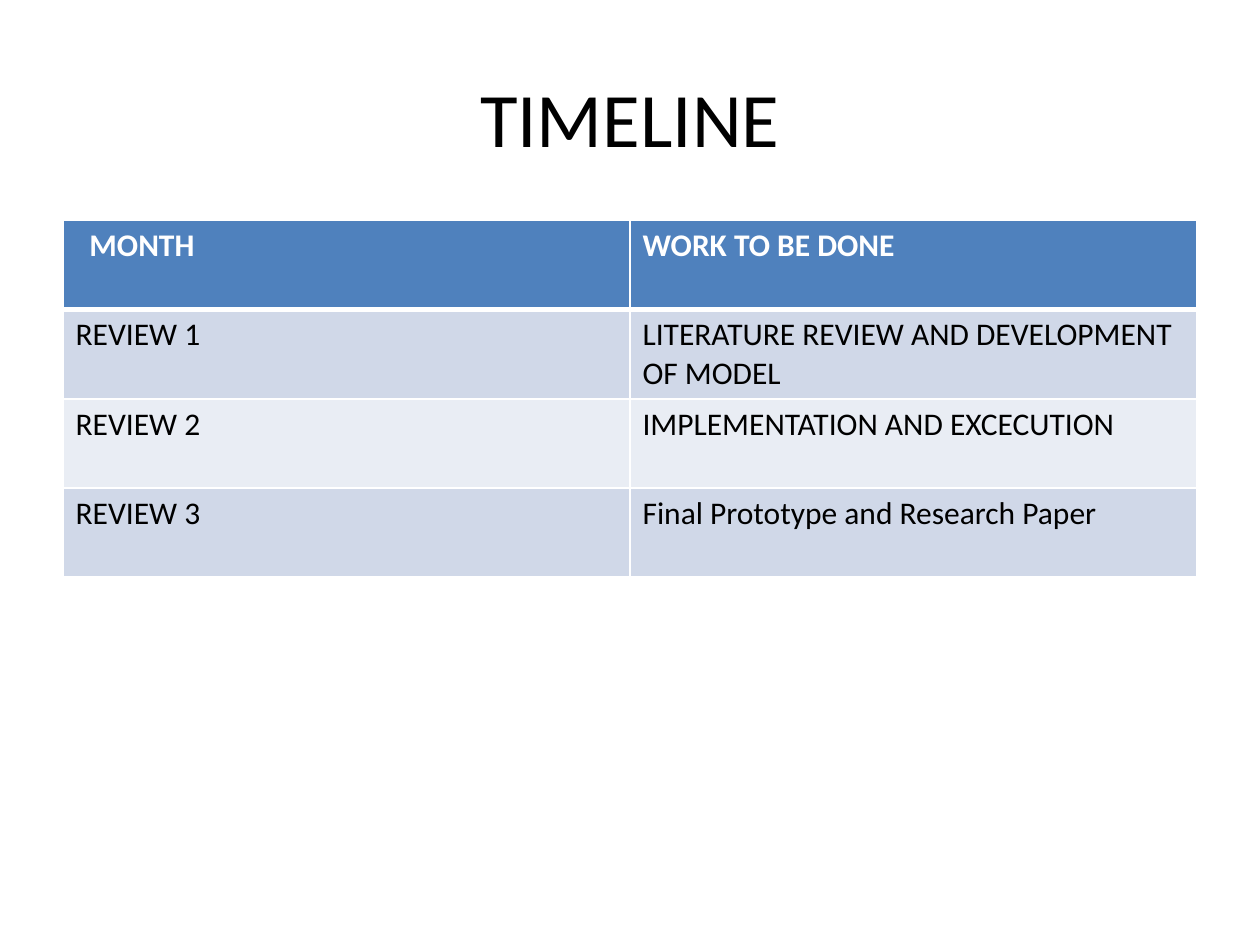
from lxml import etree
from pptx import Presentation
from pptx.dml.color import RGBColor
from pptx.enum import text
from pptx.oxml import ns
from pptx.util import Inches, Pt

BLACK = RGBColor(0x00, 0x00, 0x00)
WHITE = RGBColor(0xFF, 0xFF, 0xFF)
HEADER_BLUE = RGBColor(0x4F, 0x81, 0xBD)
BAND_DARK = RGBColor(0xD0, 0xD8, 0xE8)
BAND_LIGHT = RGBColor(0xE9, 0xED, 0xF4)


def write(frame, words, size=18, color=BLACK, bold=False, align=text.PP_ALIGN.LEFT):
    para = frame.paragraphs[0]
    para.alignment = align
    span = para.add_run()
    span.text = words
    span.font.name = "Calibri"
    span.font.size = Pt(size)
    span.font.bold = bold
    span.font.color.rgb = color


def add_border(cell, side, width):
    properties = cell._tc.get_or_add_tcPr()
    line = etree.SubElement(properties, ns.qn(f"a:ln{side}"), w=str(Pt(width)))
    fill = etree.SubElement(line, ns.qn("a:solidFill"))
    etree.SubElement(fill, ns.qn("a:srgbClr"), val=str(WHITE))


deck = Presentation()
deck.slide_width = Inches(10)
deck.slide_height = Inches(7.5)
page = deck.slides.add_slide(deck.slide_layouts[6])

# Title
box = page.shapes.add_textbox(Inches(0.5), Inches(0.3), Inches(9), Inches(1.25))
box.text_frame.word_wrap = True
box.text_frame.vertical_anchor = text.MSO_ANCHOR.MIDDLE
write(box.text_frame, "TIMELINE", size=44, align=text.PP_ALIGN.CENTER)

# Review schedule
schedule = [
    ("MONTH", "WORK TO BE DONE"),
    ("REVIEW 1", "LITERATURE REVIEW AND DEVELOPMENT OF MODEL"),
    ("REVIEW 2", "IMPLEMENTATION AND EXCECUTION"),
    ("REVIEW 3", "Final Prototype and Research Paper"),
]
table = page.shapes.add_table(
    len(schedule), 2, Inches(0.5), Inches(1.75), Inches(9), Inches(2.83)
).table

for row, entries in enumerate(schedule):
    is_header = row == 0
    band = HEADER_BLUE if is_header else BAND_DARK if row % 2 else BAND_LIGHT
    for column, words in enumerate(entries):
        cell = table.cell(row, column)
        for side in "LRTB":
            heavy = (is_header and side == "B") or (row == 1 and side == "T")
            add_border(cell, side, 3 if heavy else 1)
        cell.fill.solid()
        cell.fill.fore_color.rgb = band
        write(cell.text_frame, words, color=WHITE if is_header else BLACK, bold=is_header)

# The first heading is set in a little from the column edge
table.cell(0, 0).margin_left = Inches(0.21)

deck.save("out.pptx")
